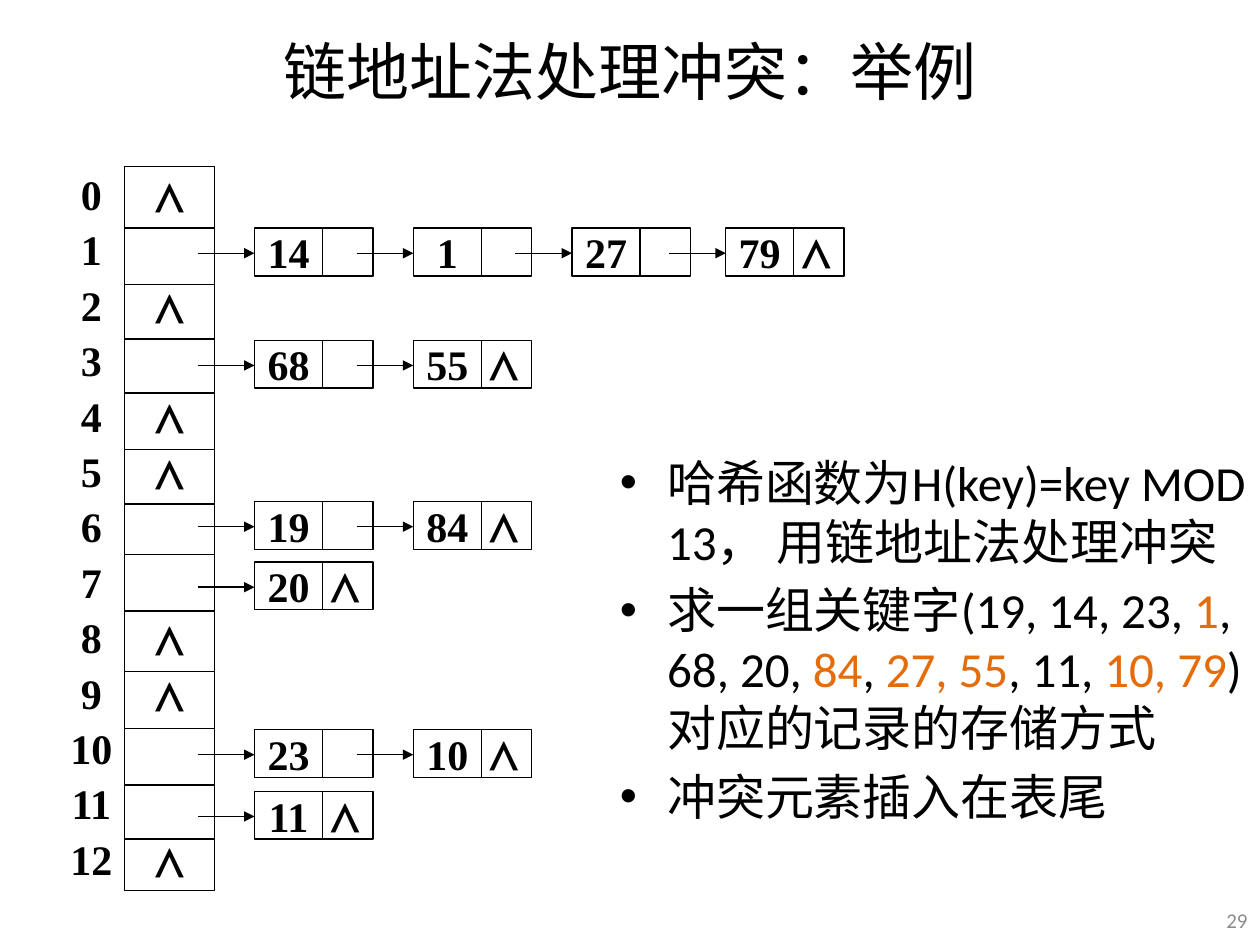
from lxml.etree import SubElement
from pptx import Presentation
from pptx.dml.color import RGBColor
from pptx.enum.shapes import MSO_CONNECTOR, MSO_SHAPE
from pptx.enum.text import MSO_ANCHOR, MSO_AUTO_SIZE, PP_ALIGN
from pptx.oxml.ns import qn
from pptx.util import Inches, Pt

COLORS = {"ink": "000000", "collision": "E46C0A", "number": "8C8C8C"}
SERIF = "Times New Roman"
SANS = "Calibri"
NIL = "⋀"

BUCKET_LEFT, BUCKET_TOP, BUCKET_WIDTH, BUCKET_HEIGHT = 0.99, 1.32, 0.71, 5.75
BUCKET_DIVIDERS = [1.81, 2.26, 2.69, 3.12, 3.57, 4, 4.4, 4.85, 5.33, 5.78, 6.23, 6.66]
BUCKET_COUNT = len(BUCKET_DIVIDERS) + 1
FIRST_CENTER, BUCKET_PITCH = 1.55, 0.44

NODE_LEFTS = [2.02, 3.28, 4.54, 5.76]
NODE_WIDTH, NODE_HEIGHT, KEY_WIDTH = 0.94, 0.38, 0.54
CHAINS = {
    1: (1.81, [14, 1, 27, 79]),
    3: (2.7, [68, 55]),
    6: (3.98, [19, 84]),
    7: (4.46, [20]),
    10: (5.79, [23, 10]),
    11: (6.28, [11]),
}

BULLETS = [
    [("哈希函数为H(key)=key MOD 13， 用链地址法处理冲突", "ink")],
    [
        ("求一组关键字(19, 14, 23, ", "ink"),
        ("1", "collision"),
        (", 68, 20, ", "ink"),
        ("84", "collision"),
        (", ", "ink"),
        ("27, 55", "collision"),
        (", 11, ", "ink"),
        ("10, 79", "collision"),
        (") 对应的记录的存储方式", "ink"),
    ],
    [("冲突元素插入在表尾", "ink")],
]


class HashSlide:
    def __init__(self, slide):
        self.slide = slide
        self.line_width = Pt(0.75)

    def color(self, name):
        return RGBColor.from_string(COLORS[name])

    def add_run(self, paragraph, text, size=24, font=SERIF, color="ink", bold=True):
        run = paragraph.add_run()
        run.text = text
        run.font.size = Pt(size)
        run.font.name = font
        run.font.bold = bold
        run.font.color.rgb = self.color(color)

    def place(self, shape, left, top, width, height):
        shape.left, shape.top = Inches(left), Inches(top)
        shape.width, shape.height = Inches(width), Inches(height)

    def title(self, text):
        shape = self.slide.shapes.title
        self.place(shape, 0.5, 0.05, 9, 1.02)
        shape.text_frame.vertical_anchor = MSO_ANCHOR.MIDDLE
        paragraph = shape.text_frame.paragraphs[0]
        paragraph.alignment = PP_ALIGN.CENTER
        self.add_run(paragraph, text, 36, bold=False)

    def bullets(self, items):
        shape = self.slide.placeholders[1]
        self.place(shape, 4.82, 3.54, 5.19, 2.94)
        frame = shape.text_frame
        frame.auto_size = MSO_AUTO_SIZE.NONE
        for index, item in enumerate(items):
            paragraph = frame.add_paragraph() if index else frame.paragraphs[0]
            for text, color in item:
                self.add_run(paragraph, text, 28, SANS, color, False)

    def text(self, lines, left, top, width, height, spacing=None,
             alignment=PP_ALIGN.CENTER, margin=0, **style):
        shape = self.slide.shapes.add_textbox(
            Inches(left), Inches(top), Inches(width), Inches(height))
        frame = shape.text_frame
        frame.word_wrap = True
        frame.vertical_anchor = MSO_ANCHOR.MIDDLE
        frame.margin_left = frame.margin_right = Inches(margin)
        for index, line in enumerate(lines):
            paragraph = frame.add_paragraph() if index else frame.paragraphs[0]
            paragraph.alignment = alignment
            paragraph.line_spacing = spacing
            self.add_run(paragraph, line, **style)

    def box(self, left, top, width, height):
        shape = self.slide.shapes.add_shape(
            MSO_SHAPE.RECTANGLE, Inches(left), Inches(top), Inches(width), Inches(height))
        shape.shadow.inherit = False
        shape.fill.background()
        shape.line.color.rgb = self.color("ink")
        shape.line.width = self.line_width
        return shape

    def line(self, x1, y1, x2, y2, arrow=False):
        connector = self.slide.shapes.add_connector(
            MSO_CONNECTOR.STRAIGHT, Inches(x1), Inches(y1), Inches(x2), Inches(y2))
        connector.line.color.rgb = self.color("ink")
        connector.line.width = self.line_width
        if arrow:
            SubElement(connector.line._get_or_add_ln(), qn("a:tailEnd"), type="triangle")
        SubElement(connector._element.spPr, qn("a:effectLst"))

    def node(self, key, left, top, last):
        shape = self.box(left, top, NODE_WIDTH, NODE_HEIGHT)
        frame = shape.text_frame
        frame.word_wrap = True
        frame.vertical_anchor = MSO_ANCHOR.MIDDLE
        frame.margin_left = 0
        frame.margin_right = Inches(NODE_WIDTH - KEY_WIDTH)
        paragraph = frame.paragraphs[0]
        paragraph.alignment = PP_ALIGN.CENTER
        self.add_run(paragraph, str(key))
        divider = left + KEY_WIDTH
        self.line(divider, top, divider, top + NODE_HEIGHT)
        self.line(left - 0.45, top + 0.2, left, top + 0.2, arrow=True)
        if last:
            self.text([NIL], divider - 0.02, top, NODE_WIDTH - KEY_WIDTH, NODE_HEIGHT)

    def buckets(self):
        labels = [str(index) for index in range(BUCKET_COUNT)]
        self.text(labels, 0.48, 1.28, 0.49, BUCKET_HEIGHT, spacing=1.1)
        self.box(BUCKET_LEFT, BUCKET_TOP, BUCKET_WIDTH, BUCKET_HEIGHT)
        for y in BUCKET_DIVIDERS:
            self.line(BUCKET_LEFT, y, BUCKET_LEFT + BUCKET_WIDTH, y)
        for index in range(BUCKET_COUNT):
            if index not in CHAINS:
                top = FIRST_CENTER + index * BUCKET_PITCH - NODE_HEIGHT / 2
                self.text([NIL], BUCKET_LEFT, top, BUCKET_WIDTH, NODE_HEIGHT)

    def chain(self, top, keys):
        for key, left in zip(keys, NODE_LEFTS):
            self.node(key, left, top, last=key == keys[-1])


def main():
    presentation = Presentation()
    presentation.slide_width = Inches(10)
    presentation.slide_height = Inches(7.5)
    slide = HashSlide(presentation.slides.add_slide(presentation.slide_layouts[1]))
    slide.title("链地址法处理冲突：举例")
    slide.buckets()
    for top, keys in CHAINS.values():
        slide.chain(top, keys)
    slide.bullets(BULLETS)
    slide.text(["29"], 9.57, 7.1, 0.43, 0.4, alignment=PP_ALIGN.RIGHT, margin=0.1,
               size=12, font=SANS, color="number", bold=False)
    presentation.save("out.pptx")


if __name__ == "__main__":
    main()
